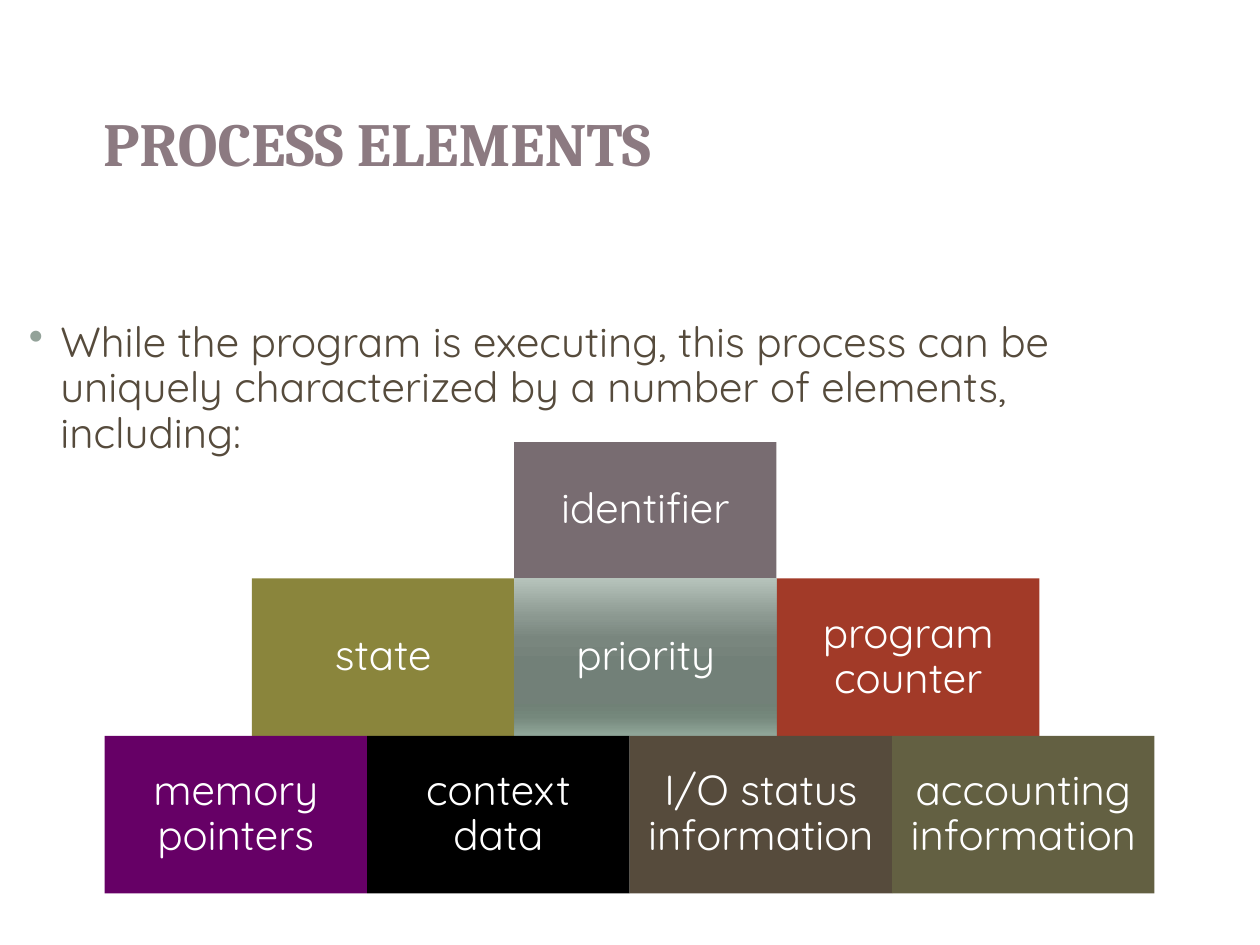
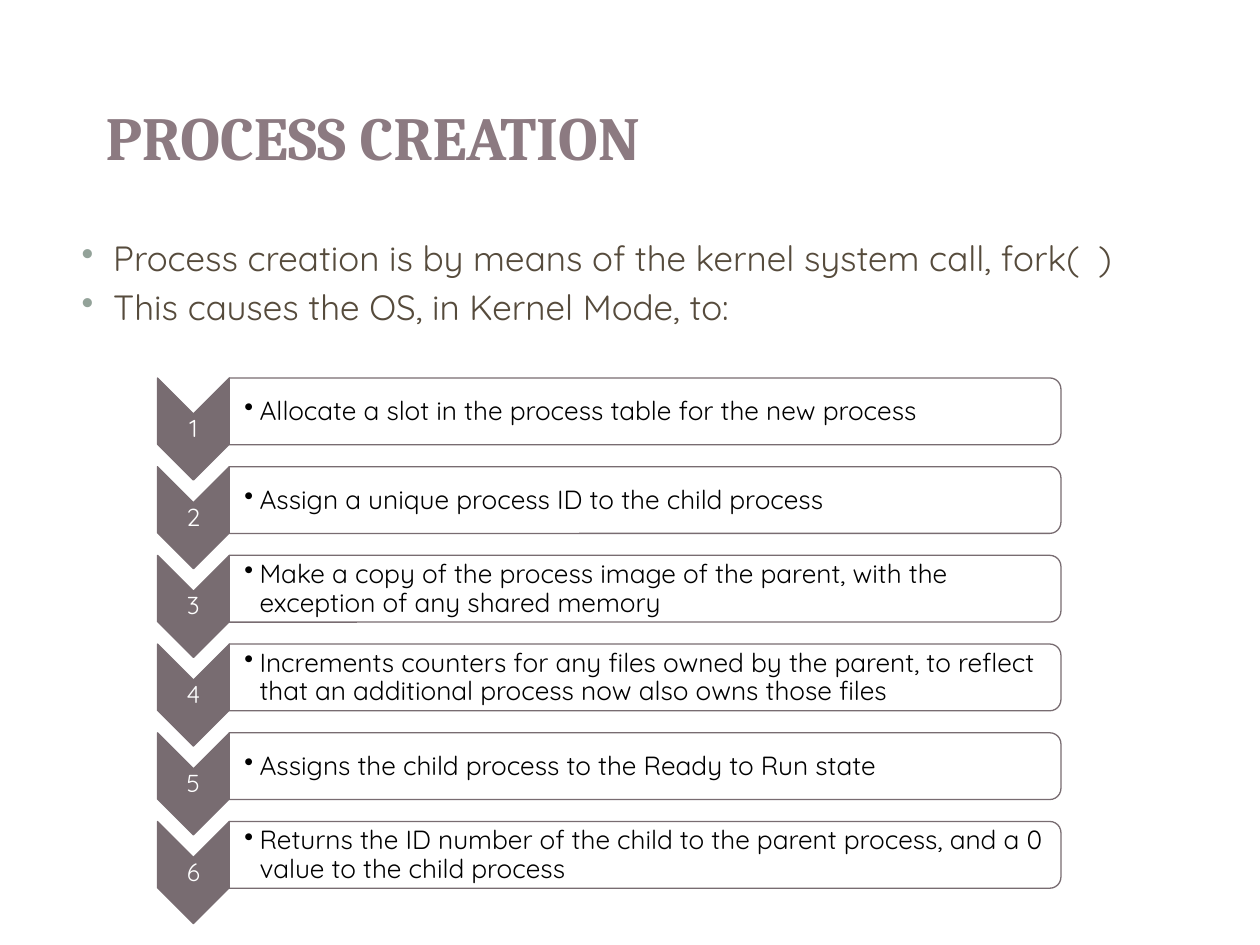
from lxml.etree import SubElement
from pptx import Presentation
from pptx.dml.color import RGBColor
from pptx.enum.shapes import MSO_SHAPE
from pptx.enum.text import MSO_ANCHOR, PP_ALIGN
from pptx.oxml.ns import qn
from pptx.util import Inches, Pt

HEADING_FONT, BODY_FONT = "Cambria", "Quicksand"
HEADING, BROWN, SAGE, MAUVE = "8C7A81", "564B3C", "93A299", "786C71"
WHITE, BLACK = "FFFFFF", "000000"
BODY_INSETS = (0.1, 0.05, 0.1, 0.05)
TIGHT_INSETS = (0.01, 0.01, 0.01, 0.01)
SAGE_SHEEN = [(0, "B6C3BB"), (25, "8B9890"), (38, "79867E"), (55, "728078"),
              (80, "708176"), (88, "75887C"), (100, "91A79A")]

PYRAMID = [
    (4.08, 1.08, [("identifier", MAUVE)]),
    (2, 1.25, [("state", "8A853C"), ("priority", SAGE_SHEEN), ("program counter", "A23A28")]),
    (0.83, 1.25, [("memory pointers", "660066"), ("context data", BLACK),
                  ("I/O status information", BROWN), ("accounting information", "636042")]),
]
FORK_STEPS = [
    "Allocate a slot in the process table for the new process",
    "Assign a unique process ID to the child process",
    "Make a copy of the process image of the parent, with the exception of any shared memory",
    "Increments counters for any files owned by the parent, to reflect that an additional "
    "process now also owns those files",
    "Assigns the child process to the Ready to Run state",
    "Returns the ID number of the child to the parent process, and a 0 value to the child process",
]


def color(value):
    """Turn a hex string into a colour."""
    return RGBColor.from_string(value)


def add_bullet(paragraph, indent, bullet_color):
    """Give a paragraph a hanging bullet."""
    properties = paragraph._p.get_or_add_pPr()
    properties.set("marL", str(Inches(indent[0])))
    properties.set("indent", str(Inches(indent[1])))
    tint = SubElement(properties, qn("a:buClr"))
    SubElement(tint, qn("a:srgbClr")).set("val", bullet_color)
    SubElement(properties, qn("a:buChar")).set("char", "•")


def write(shape, text, size, ink, font=BODY_FONT, bold=False, align=PP_ALIGN.LEFT,
          anchor=MSO_ANCHOR.MIDDLE, insets=BODY_INSETS, spacing=None, before=0,
          indent=None, bullet_color=BLACK):
    """Fill a shape with formatted text, one paragraph per line."""
    frame = shape.text_frame
    frame.text = text
    frame.word_wrap = True
    frame.vertical_anchor = anchor
    (frame.margin_left, frame.margin_top,
     frame.margin_right, frame.margin_bottom) = map(Inches, insets)
    for paragraph in frame.paragraphs:
        paragraph.alignment = align
        paragraph.line_spacing = spacing
        paragraph.space_before = Pt(before)
        if indent:
            add_bullet(paragraph, indent, bullet_color)
        for run in paragraph.runs:
            run.font.name, run.font.size, run.font.bold = font, Pt(size), bold
            run.font.color.rgb = color(ink)


def add_text(slide, box, text, size, ink, **style):
    """Place a text box at left, top, width, height."""
    write(slide.shapes.add_textbox(*map(Inches, box)), text, size, ink, **style)


def paint(shape, fill):
    """Fill a shape with one colour or with vertical gradient stops."""
    if isinstance(fill, str):
        shape.fill.solid()
        shape.fill.fore_color.rgb = color(fill)
        return
    shape.fill.gradient()
    shape.fill.gradient_angle = 270
    stops = shape._element.spPr.find(qn("a:gradFill")).find(qn("a:gsLst"))
    for stop in list(stops):
        stops.remove(stop)
    for position, value in fill:
        stop = SubElement(stops, qn("a:gs"), pos=str(position * 1000))
        SubElement(stop, qn("a:srgbClr")).set("val", value)


def add_block(slide, kind, box, fill, outline=None, turned=False):
    """Place a preset shape, turned a quarter clockwise within its box if asked."""
    left, top, width, height = box
    if turned:
        shift = (width - height) / 2
        left, top, width, height = left + shift, top - shift, height, width
    block = slide.shapes.add_shape(kind, *map(Inches, (left, top, width, height)))
    block.rotation = 90 if turned else 0
    block.shadow.inherit = False
    paint(block, fill)
    if outline:
        block.line.color.rgb = color(outline)
        block.line.width = Pt(0.75)
    else:
        block.line.fill.background()
    return block


def add_title(slide, box, text, align=PP_ALIGN.LEFT):
    """Place the slide title."""
    add_text(slide, box, text, 35, HEADING, font=HEADING_FONT, bold=True, align=align)


def add_intro(slide, box, text, size, spacing=None):
    """Place the bulleted introduction."""
    add_text(slide, box, text, size, BROWN, anchor=MSO_ANCHOR.TOP, spacing=spacing,
             before=size / 5, indent=(0.38, -0.25), bullet_color=SAGE)


def add_pyramid(slide, top):
    """Stack the rows of process elements."""
    width = 25 / 12
    for left, height, elements in PYRAMID:
        for column, (element, fill) in enumerate(elements):
            box = (left + column * width, top, width, height)
            block = add_block(slide, MSO_SHAPE.RECTANGLE, box, fill)
            write(block, element, 24, WHITE, align=PP_ALIGN.CENTER,
                  insets=(0.1, 0.1, 0.1, 0.1), spacing=0.9)
        top += height


def add_step(slide, left, top, number, text):
    """Draw one numbered chevron and its description bar."""
    chevron_width, bar_left = 0.57, left + 0.57
    add_block(slide, MSO_SHAPE.CHEVRON, (left, top, chevron_width, 0.81), MAUVE, MAUVE, True)
    add_text(slide, (left, top + 0.29, chevron_width, 0.24), str(number), 14, WHITE,
             align=PP_ALIGN.CENTER, insets=TIGHT_INSETS, spacing=0.9)
    add_block(slide, MSO_SHAPE.ROUND_2_SAME_RECTANGLE, (bar_left, top, 6.6, 0.53),
              WHITE, MAUVE, True)
    add_text(slide, (bar_left, top + 0.03, 6.57, 0.48), text, 15, BLACK,
             insets=(0.12, 0.01, 0.01, 0.01), spacing=0.9, indent=(0.12, -0.12))


def build_elements(slide):
    """Build the slide on process elements."""
    add_title(slide, (0.72, 0.5, 8.56, 1.25), "PROCESS ELEMENTS")
    add_intro(slide, (0, 2.5, 8.78, 4.2),
              "While the program is executing, this process can be uniquely characterized "
              "by a number of elements, including:", 24, 0.9)
    add_pyramid(slide, 3.51)


def build_creation(slide):
    """Build the slide on process creation."""
    add_title(slide, (-0.25, 0.33, 6.42, 1.5), "PROCESS CREATION", PP_ALIGN.CENTER)
    add_intro(slide, (0.42, 1.83, 9.25, 1.75),
              "Process creation is by means of the kernel system call, fork(  )\n"
              "This causes the OS, in Kernel Mode, to:", 20)
    first_top, last_top = 3, 6.52
    pitch = (last_top - first_top) / (len(FORK_STEPS) - 1)
    for index, text in enumerate(FORK_STEPS):
        add_step(slide, 1.25, first_top + index * pitch, index + 1, text)


def main():
    """Build and save the presentation."""
    deck = Presentation()
    deck.slide_width, deck.slide_height = Inches(10), Inches(7.5)
    for build in (build_elements, build_creation):
        build(deck.slides.add_slide(deck.slide_layouts[6]))
    deck.save("out.pptx")


if __name__ == "__main__":
    main()
